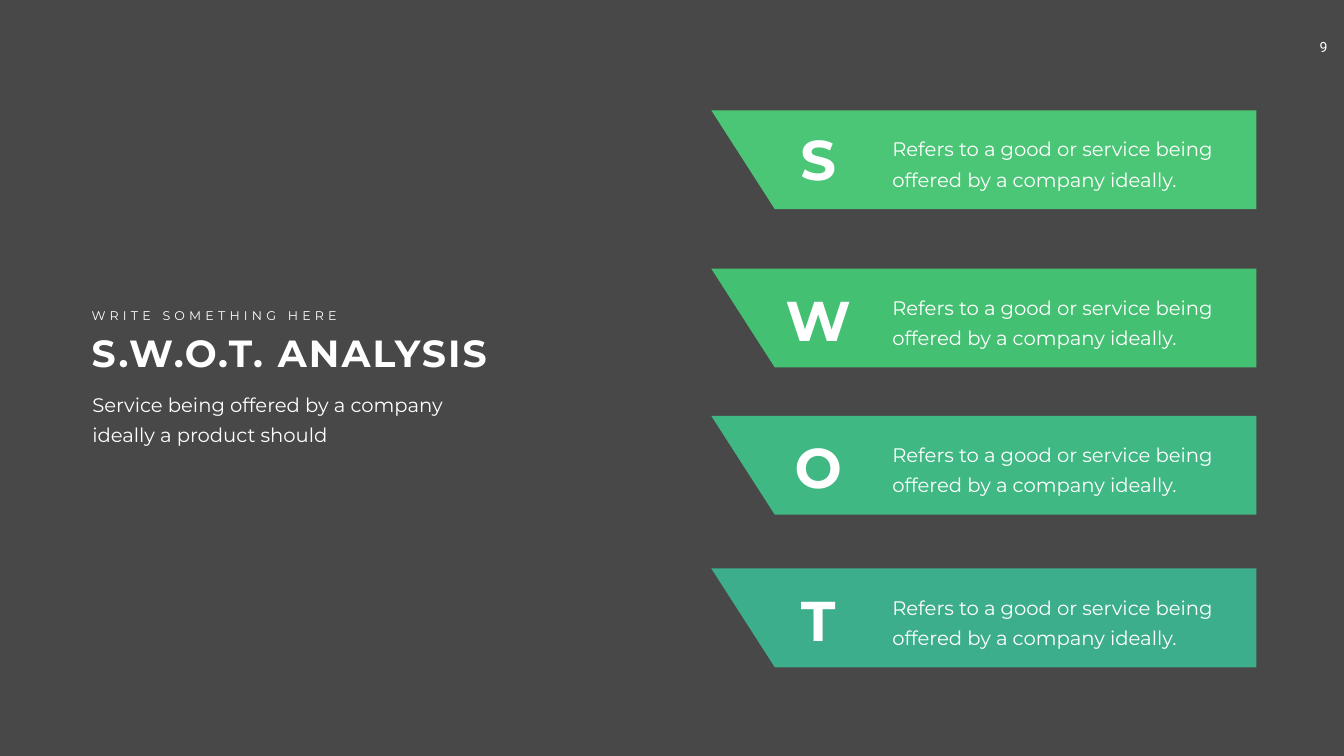
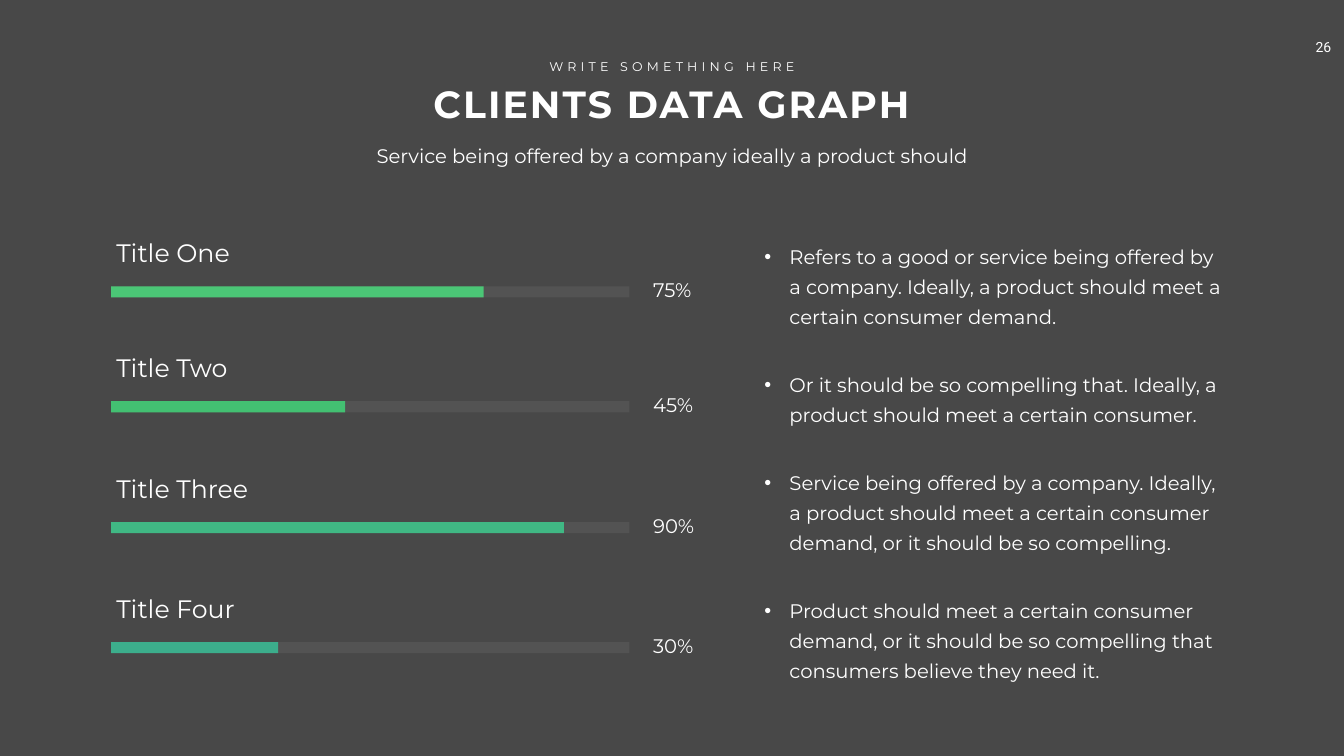
from lxml import etree
from pptx import Presentation
from pptx import util as u
from pptx.dml.color import RGBColor
from pptx.enum import shapes, text
from pptx.oxml import ns

Cm, Pt = u.Cm, u.Pt

BACKGROUND = RGBColor(0x48, 0x48, 0x48)
WHITE = RGBColor(0xFF, 0xFF, 0xFF)
TRACK = RGBColor(0x80, 0x80, 0x80)
GREENS = [RGBColor(0x4B, 0xC6, 0x76), RGBColor(0x43, 0xC0, 0x72),
          RGBColor(0x40, 0xB8, 0x84), RGBColor(0x3C, 0xAE, 0x8C)]
LEFT, CENTER = text.PP_ALIGN.LEFT, text.PP_ALIGN.CENTER
BODY = {"size": 28, "margins": (0.61, 0.3), "line": 43}


def write(shape, content, size, box, font="Montserrat", bold=False, align=LEFT,
          margins=(0.25, 0.13), line=None, gap=0, tracking=0, bullet=False, wrap=True):
    """Place a text shape at box (cm) and fill it, one paragraph per line."""
    shape.left, shape.top, shape.width, shape.height = (Cm(value) for value in box)
    frame = shape.text_frame
    frame.word_wrap = wrap
    frame.auto_size = text.MSO_AUTO_SIZE.NONE
    frame.vertical_anchor = text.MSO_ANCHOR.TOP
    frame.margin_left = frame.margin_right = Cm(margins[0])
    frame.margin_top = frame.margin_bottom = Cm(margins[1])
    frame.text = content
    for index, paragraph in enumerate(frame.paragraphs):
        paragraph.alignment = align
        paragraph.line_spacing = Pt(line) if line else 1.0
        paragraph.space_before = Pt(gap if index else 0)
        if bullet:
            properties = paragraph._p.get_or_add_pPr()
            properties.set("marL", str(Cm(1.27)))
            properties.set("indent", str(-Cm(1.27)))
            etree.SubElement(properties, ns.qn("a:buFont")).set("typeface", "Arial")
            etree.SubElement(properties, ns.qn("a:buChar")).set("char", "•")
        run = paragraph.runs[0]
        run.font.name, run.font.size, run.font.bold = font, Pt(size), bold
        run.font.color.rgb = WHITE
        if tracking:
            run._r.get_or_add_rPr().set("spc", str(tracking * 100))


def new_text(slide):
    return slide.shapes.add_textbox(0, 0, 0, 0)


presentation = Presentation()
presentation.slide_width, presentation.slide_height = Cm(67.72), Cm(38.1)
master_fill = presentation.slide_master.background.fill
master_fill.solid()
master_fill.fore_color.rgb = BACKGROUND

# Headings and page numbers: layout, number, title, alignment, three boxes
headings = [
    (5, "9", "S.W.O.T. ANALYSIS", LEFT, (4.37, 16.48, 23.83, 2.57),
     (4.37, 15.39, 13.16, 1.02), (4.04, 19.15, 20.24, 3.53)),
    (1, "26", "CLIENTS DATA GRAPH", CENTER, (18.49, 3.94, 30.71, 2.57),
     (27.28, 2.84, 13.16, 1.02), (17.17, 6.6, 33.38, 2.01)),
]
for layout, number, title, align, title_box, kicker_box, subtitle_box in headings:
    slide = presentation.slides.add_slide(presentation.slide_layouts[layout])
    write(new_text(slide), number, 20, (65.53, 1.7, 2.31, 1.37), font="Roboto",
          align=CENTER, margins=(0.51, 0.25), wrap=False)
    write(slide.shapes.title, title, 54, title_box, bold=True, align=align, tracking=3)
    write(new_text(slide), "WRITE SOMETHING HERE", 18, kicker_box, align=align,
          tracking=6, wrap=False)
    write(new_text(slide), "Service being offered by a company ideally a product should",
          box=subtitle_box, align=align, **BODY)
swot_slide, clients_slide = presentation.slides

# SWOT banners: letter, banner top, letter width, letter drop
banners = [("S", 5.56, 2.31, 0.61), ("W", 13.54, 3.78, 0.73),
           ("O", 20.96, 3.51, 0.73), ("T", 28.65, 2.24, 0.73)]
for (letter, top, width, drop), color in zip(banners, GREENS):
    bottom = top + 4.98
    outline = [(39.04, bottom), (63.3, bottom), (63.3, top), (35.84, top)]
    corners = [(Cm(x), Cm(y)) for x, y in outline]
    builder = swot_slide.shapes.build_freeform(*corners[0], scale=1.0)
    builder.add_line_segments(corners[1:], close=True)
    banner = builder.convert_to_shape()
    banner.shadow.inherit = False
    banner.fill.solid()
    banner.fill.fore_color.rgb = color
    banner.line.fill.background()
    write(new_text(swot_slide), letter, 80, (41.23 - width / 2, top + drop, width, 3.68),
          bold=True, align=CENTER, wrap=False)
    write(new_text(swot_slide),
          "Refers to a good or service being offered by a company ideally.",
          box=(44.35, top + 0.73, 17.81, 3.53), **BODY)

# Progress bars: label, percentage, bar top, bar length
bars = [("Title One", "75%", 14.43, 18.77), ("Title Two", "45%", 20.22, 11.79),
        ("Title Three", "90%", 26.31, 22.81), ("Title Four", "30%", 32.36, 8.41)]
for (label, percentage, top, length), color in zip(bars, GREENS):
    for bar_width, bar_color in ((26.11, TRACK), (length, color)):
        bar = clients_slide.shapes.add_shape(
            shapes.MSO_SHAPE.RECTANGLE, Cm(5.6), Cm(top), Cm(bar_width), Cm(0.56))
        bar.shadow.inherit = False
        bar.fill.solid()
        bar.fill.fore_color.rgb = bar_color
        bar.line.fill.background()
        if bar_color == TRACK:
            channel = bar._element.spPr.find(".//" + ns.qn("a:srgbClr"))
            etree.SubElement(channel, ns.qn("a:alpha")).set("val", "20000")
    write(new_text(clients_slide), label, 36, (5.61, top - 2.6, 10.85, 1.8))
    write(new_text(clients_slide), percentage, 28, (32.66, top - 0.56, 4.93, 1.45))

# Bullet list
points = [
    "Refers to a good or service being offered by a company. Ideally, "
    "a product should meet a certain consumer demand.",
    "Or it should be so compelling that. Ideally, a product should meet a certain consumer.",
    "Service being offered by a company. Ideally, a product should meet "
    "a certain consumer demand, or it should be so compelling.",
    "Product should meet a certain consumer demand, or it should be so compelling "
    "that consumers believe they need it.",
]
write(clients_slide.placeholders[1], "\n".join(points), box=(37.9, 11.71, 24.23, 23.34),
      gap=54, bullet=True, **BODY)

presentation.save("out.pptx")
